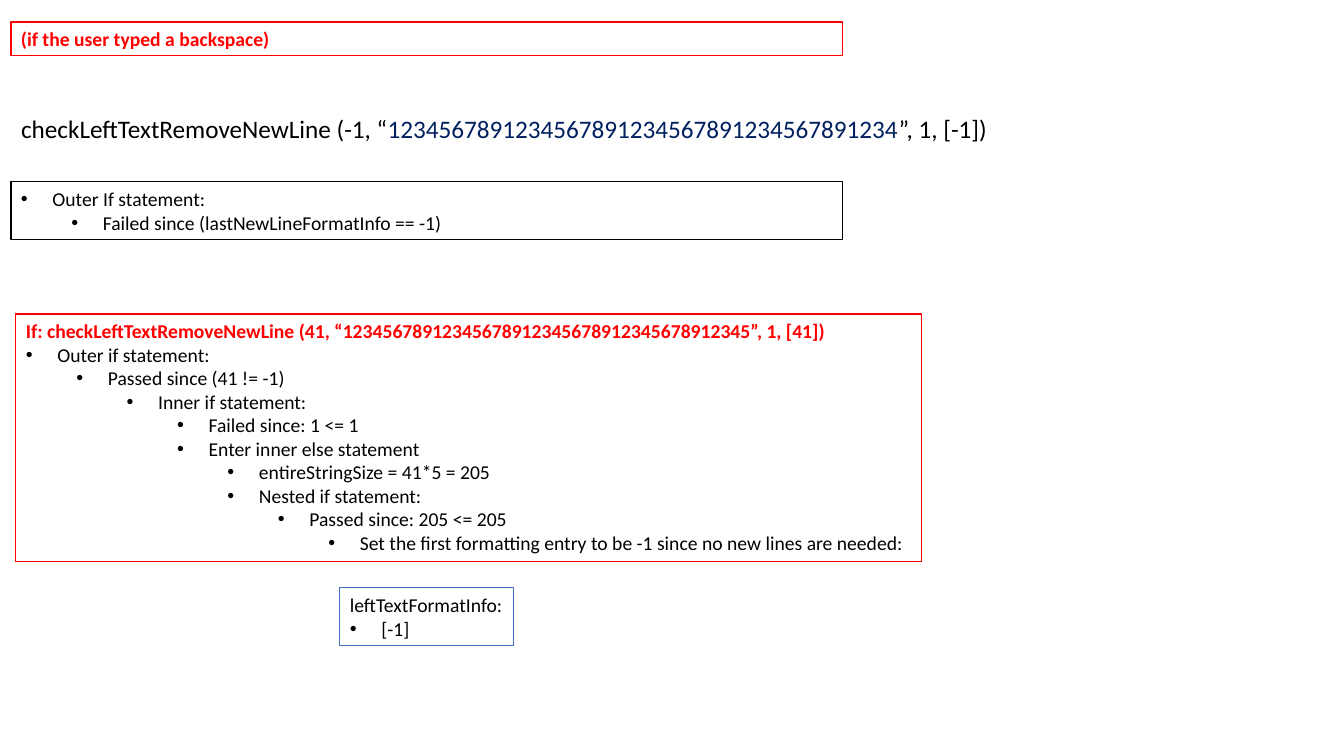
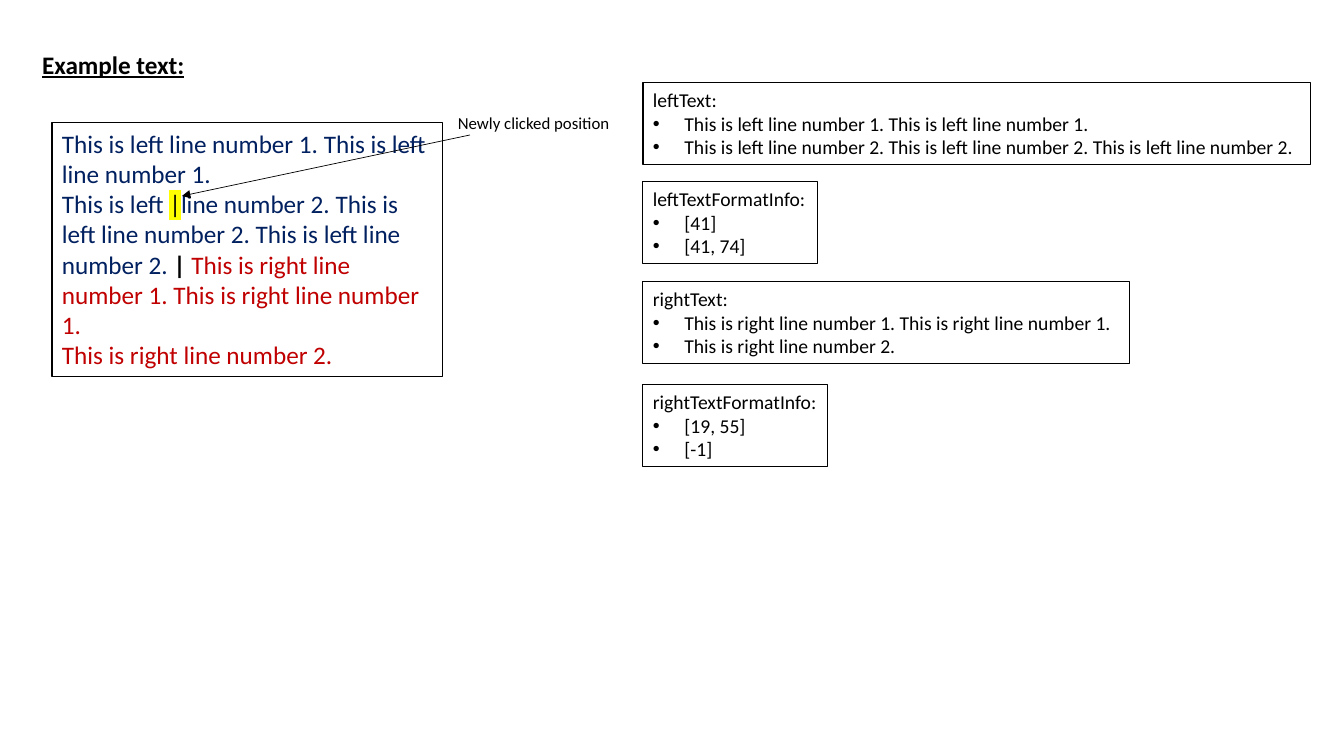
from lxml import etree
from pptx import Presentation, util as u
from pptx.dml.color import RGBColor
from pptx.enum import shapes, text
from pptx.oxml.ns import qn

PX = 914400 / 100.8
BLACK = RGBColor(0x00, 0x00, 0x00)
RED = RGBColor(0xFF, 0x00, 0x00)
NAVY = RGBColor(0x00, 0x20, 0x60)
CRIMSON = RGBColor(0xC0, 0x00, 0x00)
BLUE = RGBColor(0x44, 0x72, 0xC4)
FONT = "Calibri"
HANG = u.Pt(22.5)
STEP = u.Pt(36)


def px(*lengths):
    return [u.Emu(round(length * PX)) for length in lengths]


def write(holder, place, lines, size=14, wrap=False, border=None):
    holder.left, holder.top, holder.width, holder.height = px(*place)
    frame = holder.text_frame
    frame.word_wrap = wrap
    frame.auto_size = text.MSO_AUTO_SIZE.SHAPE_TO_FIT_TEXT
    frame.vertical_anchor = text.MSO_ANCHOR.TOP
    if border is not None:
        holder.line.color.rgb = border
        holder.line.width = u.Pt(0.75)
    for number, (level, parts) in enumerate(lines):
        paragraph = frame.add_paragraph() if number else frame.paragraphs[0]
        paragraph.alignment = text.PP_ALIGN.LEFT
        if level is not None:
            paragraph.level = level
            props = paragraph._p.get_or_add_pPr()
            props.set("marL", str(HANG + level * STEP))
            props.set("indent", str(-HANG))
            etree.SubElement(props, qn("a:buFont"), typeface="Arial")
            etree.SubElement(props, qn("a:buChar"), char="•")
        paragraph.font.name = FONT
        paragraph.font.size = u.Pt(size)
        for words, color, bold in parts:
            run = paragraph.add_run()
            run.text = words
            font = paragraph.font if len(parts) == 1 else run.font
            font.color.rgb = color
            font.bold = bold
    return frame


deck = Presentation()
deck.slide_width, deck.slide_height = px(1344, 756)
title_only = deck.slide_layouts[5]

backspace = deck.slides.add_slide(title_only)
write(backspace.shapes.title, (11, 108, 1003, 40), [
    (None, [("checkLeftTextRemoveNewLine (-1, “", BLACK, False),
            ("1234567891234567891234567891234567891234", NAVY, False),
            ("”, 1, [-1]) ", BLACK, False)])], size=18)

condition = [(None, "(if the user typed a backspace)")]
outer_if = [(0, "Outer If statement:"),
            (1, "Failed since (lastNewLineFormatInfo == -1)")]
walkthrough = [
    (None, "If: checkLeftTextRemoveNewLine (41, “12345678912345678912345678912345678912345”, 1, [41]) "),
    (0, "Outer if statement:"),
    (1, "Passed since (41 != -1)"),
    (2, "Inner if statement:"),
    (3, "Failed since: 1 <= 1"),
    (3, "Enter inner else statement"),
    (4, "entireStringSize = 41*5 = 205"),
    (4, "Nested if statement:"),
    (5, "Passed since: 205 <= 205"),
    (6, "Set the first formatting entry to be -1 since no new lines are needed:"),
]
result = [(None, "leftTextFormatInfo:"), (0, "[-1]")]

for place, lines, border, wrap in [
    ((11, 182, 832, 58), outer_if, BLACK, True),
    ((11, 22, 832, 34), condition, RED, True),
    ((16, 314, 906, 248), walkthrough, RED, False),
    ((340, 588, 174, 58), result, BLUE, False),
]:
    styled = []
    for level, words in lines:
        heading = level is None and border == RED
        styled.append((level, [(words, RED if heading else BLACK, heading)]))
    write(backspace.shapes.add_textbox(0, 0, 0, 0), place, styled,
          wrap=wrap, border=border)

example = deck.slides.add_slide(title_only)
heading = write(example.shapes.title, (32, 44, 164, 40),
                [(None, [("Example text:", BLACK, True)])], size=18)
heading.paragraphs[0].font.underline = True

for top, width, name, entries in [
    (83, 668, "leftText:", [
        "This is left line number 1. This is left line number 1.",
        "This is left line number 2. This is left line number 2. This is left line number 2."]),
    (182, 175, "leftTextFormatInfo:", ["[41]", "[41, 74]"]),
    (282, 487, "rightText:", [
        "This is right line number 1. This is right line number 1. ",
        "This is right line number 2."]),
    (385, 185, "rightTextFormatInfo:", ["[19, 55]", "[-1]"]),
]:
    lines = [(None, [(name, BLACK, False)])]
    lines += [(0, [(entry, BLACK, False)]) for entry in entries]
    write(example.shapes.add_textbox(0, 0, 0, 0), (643, top, width, 82), lines,
          border=BLACK)

passage = write(example.shapes.add_textbox(0, 0, 0, 0), (52, 123, 391, 254), [
    (None, [("This is left line number 1. This is left line number 1.", NAVY, False)]),
    (None, [("This is left ", NAVY, False),
            ("|", BLACK, False),
            ("line number 2. This is left line number 2. This is left line number 2. ", NAVY, False),
            ("| ", BLACK, True),
            ("This is right line number 1. This is right line number 1. ", CRIMSON, False)]),
    (None, [("This is right line number 2.", CRIMSON, False)]),
], size=18, wrap=True, border=BLACK)
cursor = passage.paragraphs[1].runs[1]
highlight = etree.SubElement(cursor._r.get_or_add_rPr(), qn("a:highlight"))
etree.SubElement(highlight, qn("a:srgbClr"), val="FFFF00")

write(example.shapes.add_textbox(0, 0, 0, 0), (448, 108, 173, 30),
      [(None, [("Newly clicked position", BLACK, False)])], size=12)
pointer = example.shapes.add_connector(
    shapes.MSO_CONNECTOR.STRAIGHT, *px(470, 135, 182, 196))
pointer.line.color.rgb = BLACK
pointer.line.width = u.Pt(0.5)
etree.SubElement(pointer.line._get_or_add_ln(), qn("a:tailEnd"), type="triangle")
etree.SubElement(pointer._element.spPr, qn("a:effectLst"))

deck.save("out.pptx")
